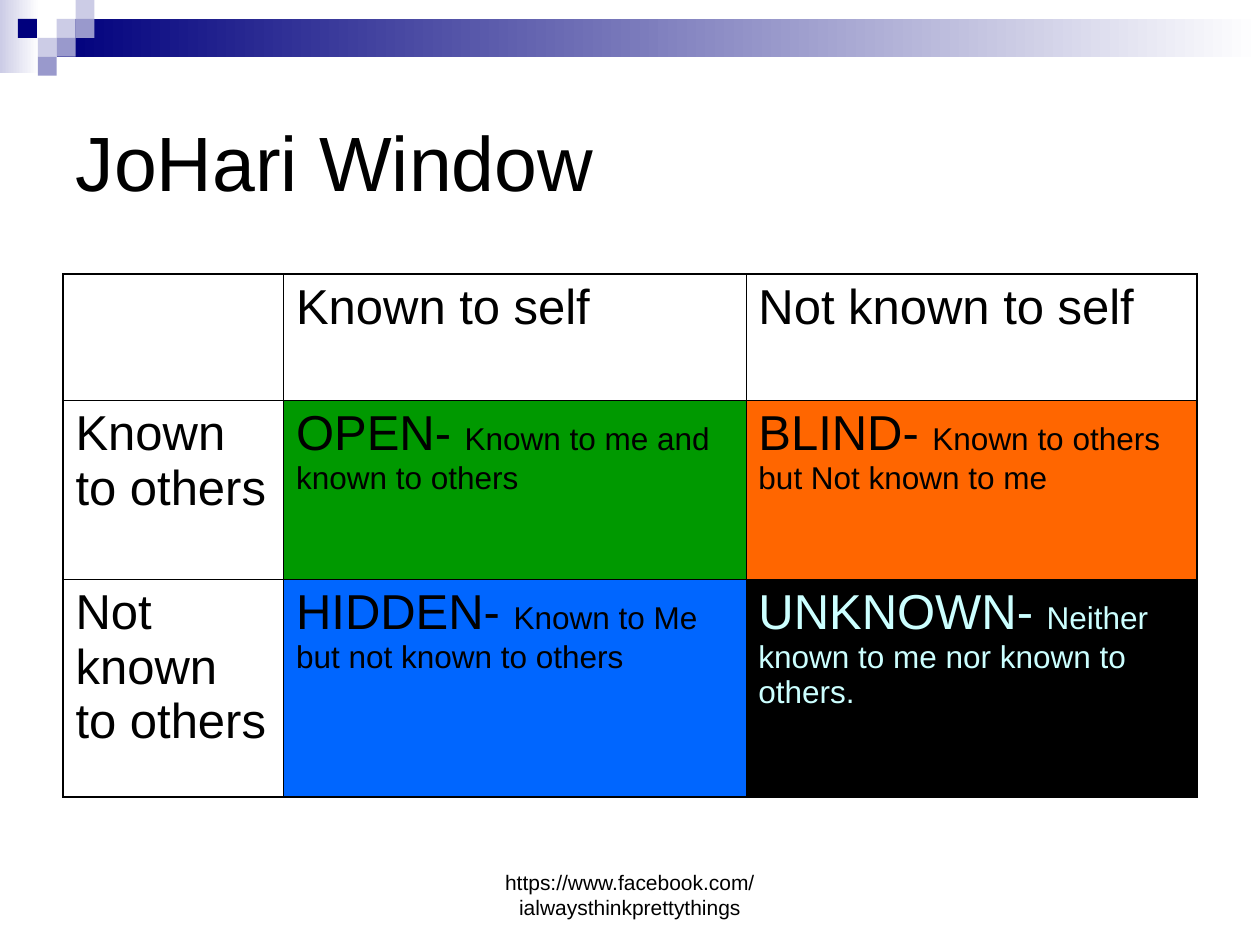
from lxml.etree import SubElement
from pptx import Presentation
from pptx.dml.color import RGBColor
from pptx.enum.shapes import MSO_SHAPE
from pptx.enum.text import MSO_ANCHOR, MSO_AUTO_SIZE, PP_ALIGN
from pptx.oxml.ns import qn
from pptx.util import Inches, Pt

WIDTH, HEIGHT = 10, 7.5
UNIT = 0.15  # side of one header square
COLORS = {
    "ink": "000000", "paper": "FFFFFF", "navy": "00007D", "mist": "CCCCE6",
    "lavender": "9999CC", "open": "009900", "blind": "FF6600",
    "hidden": "0066FF", "unknown": "000000", "ice": "CCFFFF",
}


def color(name):
    return RGBColor.from_string(COLORS[name])


class WindowSlide:
    font_name = "Arial"
    outer_line, inner_line = 1.08, 0.45

    def __init__(self, slide):
        self.slide = slide

    def share(self, left, top, width, height):
        """Turn shares of the slide's size into lengths."""
        return [Inches(part * size) for part, size in
                zip((left, top, width, height), (WIDTH, HEIGHT) * 2)]

    def add_words(self, paragraph, runs, ink="ink", align=PP_ALIGN.LEFT):
        paragraph.alignment = align
        for text, size in runs:
            run = paragraph.add_run()
            run.text = text
            style = {"name": self.font_name, "size": Pt(size), "bold": False}
            for key, value in style.items():
                setattr(run.font, key, value)
            run.font.color.rgb = color(ink)

    def block(self, column, row, columns, rows, *fills):
        """Header block on the square grid; two fills make a gradient."""
        cells = (column, row, columns, rows)
        shape = self.slide.shapes.add_shape(
            MSO_SHAPE.RECTANGLE, *(Inches(cell * UNIT) for cell in cells))
        shape.shadow.inherit = False
        shape.line.fill.background()
        if len(fills) == 1:
            shape.fill.solid()
            shape.fill.fore_color.rgb = color(fills[0])
        else:
            shape.fill.gradient()
            shape.fill.gradient_angle = 0
            for stop, name in zip(shape.fill.gradient_stops, fills):
                stop.color.rgb = color(name)

    def title(self, text, size, *box):
        heading = self.slide.shapes.title
        places = zip(("left", "top", "width", "height"), self.share(*box))
        for key, value in places:
            setattr(heading, key, value)
        heading.text_frame.vertical_anchor = MSO_ANCHOR.MIDDLE
        heading.text_frame.auto_size = MSO_AUTO_SIZE.NONE
        self.add_words(heading.text_frame.paragraphs[0], [(text, size)])

    def caption(self, text, size, *box):
        frame = self.slide.shapes.add_textbox(*self.share(*box)).text_frame
        options = {"word_wrap": True, "vertical_anchor": MSO_ANCHOR.BOTTOM,
                   "auto_size": MSO_AUTO_SIZE.NONE}
        for key, value in options.items():
            setattr(frame, key, value)
        self.add_words(frame.paragraphs[0], [(text, size)], align=PP_ALIGN.CENTER)

    def borders(self, cell, outer_sides):
        properties = cell._tc.get_or_add_tcPr()
        for index, side in enumerate("LRTB"):
            width = self.outer_line if side in outer_sides else self.inner_line
            line = SubElement(properties, qn(f"a:ln{side}"), w=str(Pt(width)))
            fill = SubElement(line, qn("a:solidFill"))
            SubElement(fill, qn("a:srgbClr"), val=COLORS["ink"])
            properties.insert(index, line)  # borders come before the fill

    def table(self, left, top, widths, heights, content):
        box = self.share(left, top, sum(widths) / WIDTH, sum(heights) / HEIGHT)
        grid = self.slide.shapes.add_table(len(heights), len(widths), *box).table
        grid.first_row = grid.horz_banding = False
        for column, width in zip(grid.columns, widths):
            column.width = Inches(width)
        for row, height in zip(grid.rows, heights):
            row.height = Inches(height)
        last_row, last_column = len(heights) - 1, len(widths) - 1
        for r, entries in enumerate(content):
            for c, (runs, fill, ink) in enumerate(entries):
                cell = grid.cell(r, c)
                if fill:
                    cell.fill.solid()
                    cell.fill.fore_color.rgb = color(fill)
                else:
                    cell.fill.background()
                edges = {"L": c == 0, "R": c == last_column,
                         "T": r == 0, "B": r == last_row}
                self.borders(cell, [side for side, outer in edges.items() if outer])
                self.add_words(cell.text_frame.paragraphs[0], runs, ink)


def label(text):
    return [(text, 28)], None, "ink"


def pane(name, meaning, ink="ink"):
    return [(f"{name}- ", 28), (meaning, 18)], name.lower(), ink


def main():
    deck = Presentation()
    deck.slide_width, deck.slide_height = Inches(WIDTH), Inches(HEIGHT)
    window = WindowSlide(deck.slides.add_slide(deck.slide_layouts[5]))

    # Header band and squares
    window.block(0, 0, 2.07, 3.87, "mist", "paper")
    window.block(3, 1, WIDTH / UNIT - 3, 2, "navy", "paper")
    squares = [(3, 1, "mist"), (4, 0, "mist"), (4, 1, "lavender"),
               (2, 2, "mist"), (0.95, 1, "navy"), (3, 2, "lavender"),
               (2, 3, "lavender")]
    for column, row, fill in squares:
        window.block(column, row, 1, 1, fill)

    # Title
    window.title("JoHari Window", 44, 0.05, 0.07, 0.9, 0.2)

    # Four panes of the window
    window.table(0.05, 0.29, [1.75, 3.67, 3.58], [1, 1.42, 1.73], [
        [([], None, "ink"), label("Known to self"), label("Not known to self")],
        [label("Known to others"),
         pane("OPEN", "Known to me and known to others"),
         pane("BLIND", "Known to others but Not known to me")],
        [label("Not known to others"),
         pane("HIDDEN", "Known to Me but not known to others"),
         pane("UNKNOWN", "Neither known to me nor known to others.", "ice")],
    ])

    # Footer
    window.caption("https://www.facebook.com/ialwaysthinkprettythings", 12,
                   0.34, 0.91, 0.32, 0.07)
    deck.save("out.pptx")


if __name__ == "__main__":
    main()
